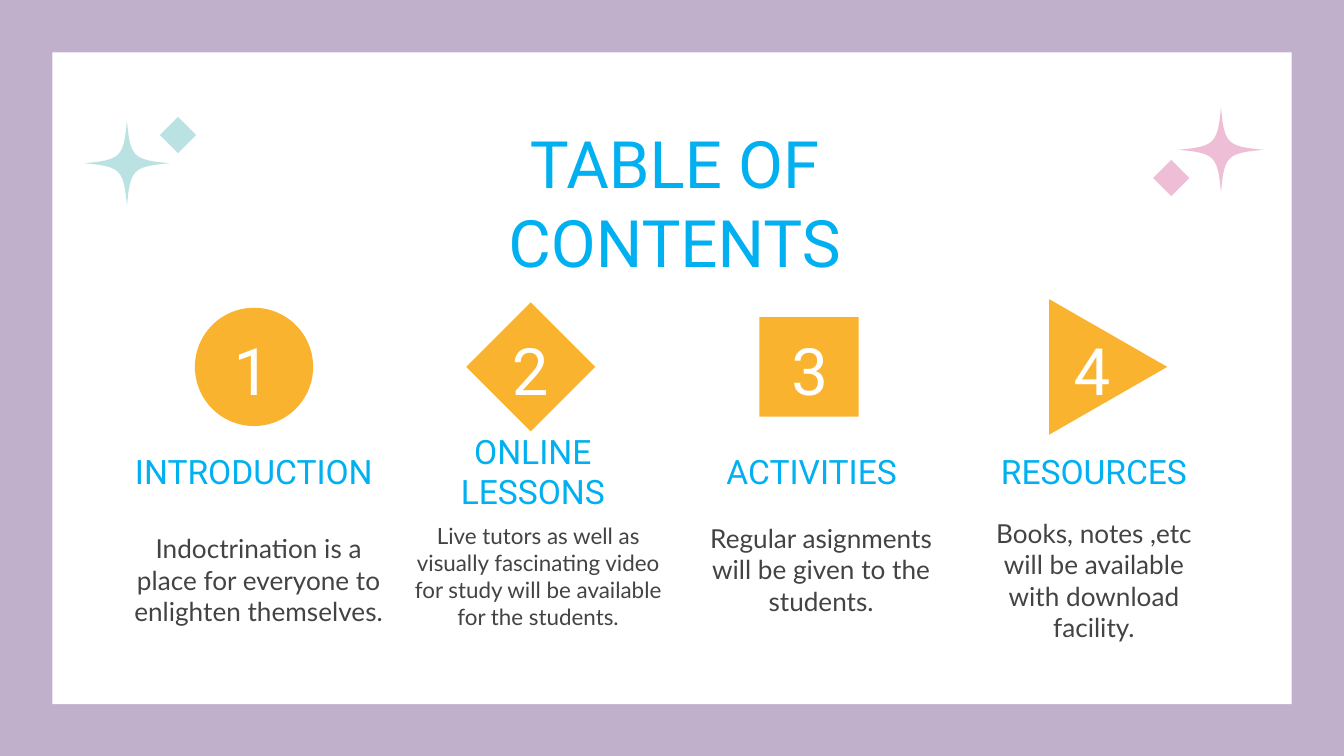
"""Build a table of contents slide with four numbered sections."""
from dataclasses import dataclass
from math import cos, pi, sin

from pptx import Presentation
from pptx.dml.color import RGBColor
from pptx.enum.shapes import MSO_SHAPE
from pptx.enum.text import MSO_ANCHOR, PP_ALIGN
from pptx.util import Inches, Pt


@dataclass(frozen=True)
class Theme:
    border: str = "C0B0CC"
    panel: str = "FFFFFF"
    mint: str = "BBE2E2"
    pink: str = "EEBDD6"
    badge: str = "FAB32E"
    heading: str = "00B0F0"
    body: str = "434343"
    heading_font: str = "Roboto"
    body_font: str = "Lato"
    title_size: int = 35
    heading_size: int = 18
    body_size: int = 14
    small_size: int = 12


theme = Theme()
deck = Presentation()
deck.slide_width = Inches(10)
deck.slide_height = Inches(10 * 9 / 16)
page = deck.slides.add_slide(deck.slide_layouts[6])
page.background.fill.solid()
page.background.fill.fore_color.rgb = RGBColor.from_string(theme.border)


def paint(shape, color):
    shape.shadow.inherit = False
    shape.fill.solid()
    shape.fill.fore_color.rgb = RGBColor.from_string(color)
    shape.line.fill.background()


def write(text, place, *, size, color, font=theme.heading_font, anchor=MSO_ANCHOR.MIDDLE):
    box = page.shapes.add_textbox(*map(Inches, place))
    frame = box.text_frame
    frame.word_wrap = True
    frame.vertical_anchor = anchor
    frame.margin_left = frame.margin_right = Inches(0.1)
    frame.margin_top = frame.margin_bottom = Inches(0.1)
    para = frame.paragraphs[0]
    para.alignment = PP_ALIGN.CENTER
    span = para.add_run()
    span.text = text
    span.font.name = font
    span.font.size = Pt(size)
    span.font.color.rgb = RGBColor.from_string(color)


panel = page.shapes.add_shape(
    MSO_SHAPE.RECTANGLE, Inches(0.39), Inches(0.39), Inches(9.22), Inches(4.85))
paint(panel, theme.panel)

star_size, steps = 0.63, 12
radius, waist, bend = star_size / 2, star_size / 14, star_size / 25
arm = []
for step in range(steps):
    t = step / steps
    along = radius * (1 - t) ** 3 + 3 * waist * t * (1 - t) ** 2 + 3 * bend * t**2 * (1 - t)
    across = 3 * bend * t * (1 - t) ** 2 + 3 * waist * t**2 * (1 - t) + radius * t**3
    arm.append((along, across))

sparkles = [
    (0.63, 0.9, 1.19, 0.87, theme.mint),
    (8.77, 0.8, 8.58, 1.19, theme.pink),
]
for star_left, star_top, left, top, color in sparkles:
    group = page.shapes.add_group_shape()
    outline = []
    for quarter in range(4):
        turn = quarter * pi / 2
        for along, across in arm:
            x = star_left + radius + along * cos(turn) - across * sin(turn)
            y = star_top + radius + along * sin(turn) + across * cos(turn)
            outline.append((Inches(x), Inches(y)))
    builder = group.shapes.build_freeform(*outline[0])
    builder.add_line_segments(outline[1:], close=True)
    paint(builder.convert_to_shape(), color)
    diamond = group.shapes.add_shape(
        MSO_SHAPE.DIAMOND, Inches(left), Inches(top), Inches(0.27), Inches(0.27))
    paint(diamond, color)

write("TABLE OF CONTENTS", (2.62, 0.82, 4.8, 0.63), size=theme.title_size,
      color=theme.heading, anchor=MSO_ANCHOR.TOP)

sections = [
    ("INTRODUCTION", "Indoctrination is a place for everyone to enlighten themselves.",
     MSO_SHAPE.OVAL, (1.45, 0.88, 0.88), 0, 1.03, (0.86, 2.06),
     (0.89, 3.68, 2.07, 1.27), theme.body_size),
    ("ONLINE LESSONS", "Live tutors as well as visually fascinating video for study "
     "will be available for the students.",
     MSO_SHAPE.DIAMOND, (3.47, 0.96, 0.96), 0, 3.1, (2.96, 2.01),
     (2.96, 3.89, 2.09, 0.79), theme.small_size),
    ("ACTIVITIES", "Regular asignments will be given to the students.",
     MSO_SHAPE.RECTANGLE, (5.65, 0.74, 0.74), 0, 5.18, (5.01, 2.06),
     (5.15, 3.89, 1.92, 0.69), theme.body_size),
    ("RESOURCES", "Books, notes ,etc will be available with download facility.",
     MSO_SHAPE.ISOSCELES_TRIANGLE, (7.74, 1.01, 0.88), 90, 7.28, (7.11, 2.06),
     (7.18, 3.97, 1.92, 0.69), theme.body_size),
]
badge_middle = 2.73
for number, section in enumerate(sections, 1):
    heading, body, kind, badge_place, rotation, number_left, heading_place, place, size = section
    left, width, height = badge_place
    badge = page.shapes.add_shape(
        kind, Inches(left), Inches(badge_middle - height / 2), Inches(width), Inches(height))
    badge.rotation = rotation
    paint(badge, theme.badge)
    write(str(number), (number_left, 2.52, 1.69, 0.45), size=theme.title_size, color=theme.panel)
    left, width = heading_place
    write(heading, (left, 3.31, width, 0.39), size=theme.heading_size, color=theme.heading)
    write(body, place, size=size, color=theme.body, font=theme.body_font)

deck.save("out.pptx")
